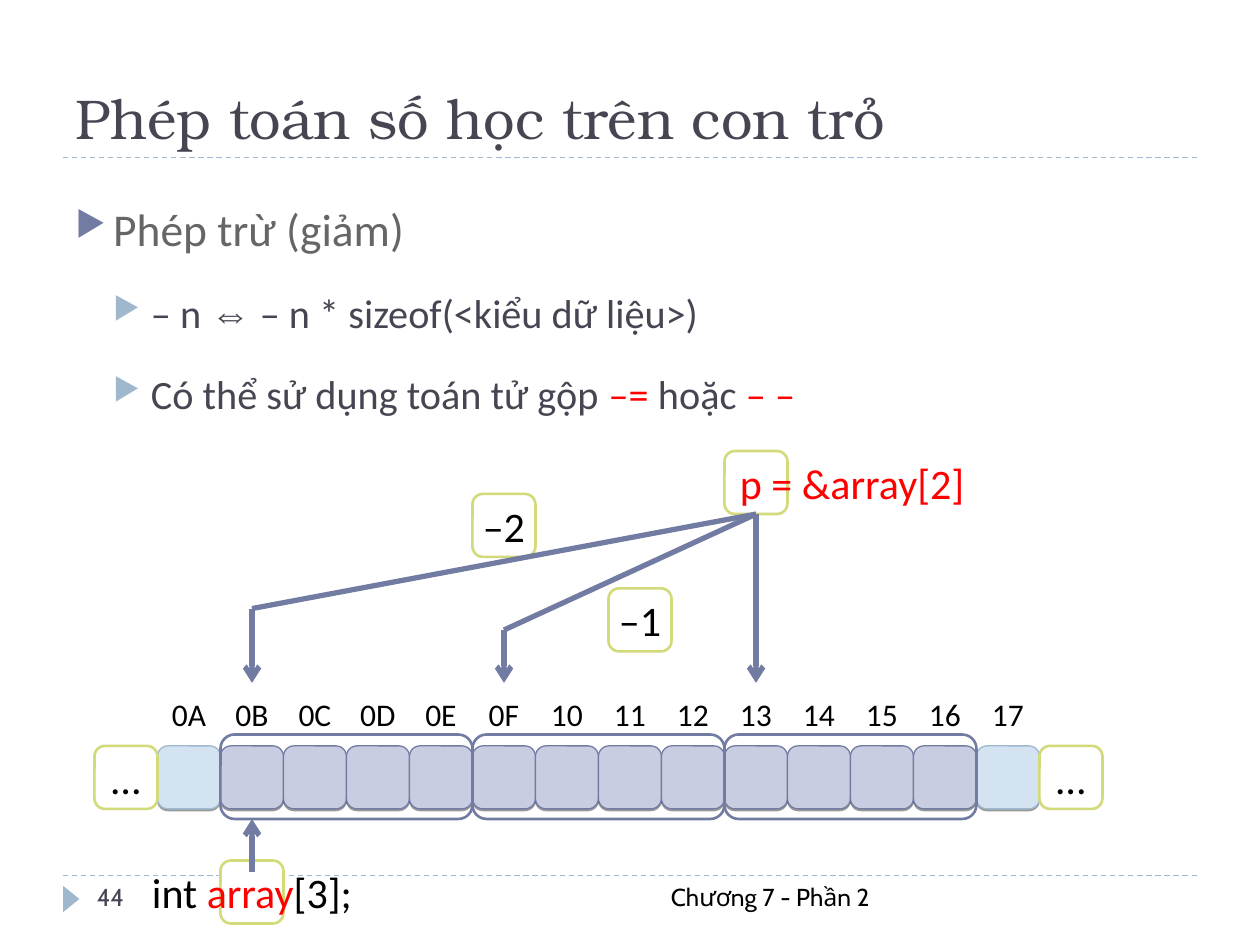
from pptx import Presentation
from pptx import util as u
from pptx.dml.color import RGBColor
from pptx.enum import dml, shapes, text
from pptx.oxml.ns import qn
from lxml import etree

INK, RED, BLACK, WHITE = "464653", "FF0000", "000000", "FFFFFF"
INDIGO, SKY, LIME = "727CA3", "9FB8CD", "D2DA7A"
UNIT = 0.5


def colour(value):
    return RGBColor.from_string(value)


def add_xml(parent, tag, **attributes):
    return etree.SubElement(parent, qn(tag), attributes)


def write(para, parts, size, align=text.PP_ALIGN.LEFT):
    para.alignment = align
    for wording, hue, font in parts:
        span = para.add_run()
        span.text = wording
        span.font.name = font
        span.font.size = u.Pt(size)
        span.font.color.rgb = colour(hue)


def add_text(page, box, parts, size, align):
    frame = page.shapes.add_textbox(*map(u.Inches, box)).text_frame
    frame.word_wrap = True
    write(frame.paragraphs[0], parts, size, align)


def add_line(page, start, end, hue=INDIGO, width=3, arrow=False):
    line = page.shapes.add_connector(
        shapes.MSO_CONNECTOR.STRAIGHT, *map(u.Inches, (*start, *end)))
    line.line.color.rgb = colour(hue)
    line.line.width = u.Pt(width)
    if arrow:
        add_xml(line.line._ln, "a:tailEnd", type="arrow")
    add_xml(line._element.spPr, "a:effectLst")
    return line


def add_rule(page, left, top, width):
    rule = add_line(page, (left, top), (left + width, top), SKY, 0.75)
    rule.line.dash_style = dml.MSO_LINE.DASH


def add_box(page, box, fill=None, edge=None, width=1.5, parts=(), size=24,
            align=text.PP_ALIGN.CENTER):
    shape = page.shapes.add_shape(
        shapes.MSO_SHAPE.ROUNDED_RECTANGLE, *map(u.Inches, box))
    shape.shadow.inherit = False
    if fill:
        shape.fill.solid()
        shape.fill.fore_color.rgb = colour(fill)
    else:
        shape.fill.background()
    if edge:
        shape.line.color.rgb = colour(edge)
        shape.line.width = u.Pt(width)
    else:
        shape.line.fill.background()
    if parts:
        frame = shape.text_frame
        frame.word_wrap = False
        frame.vertical_anchor = text.MSO_ANCHOR.MIDDLE
        write(frame.paragraphs[0], parts, size, align)
    return shape


def add_note(page, left, top, parts, align=text.PP_ALIGN.CENTER):
    spans = [(wording, hue, "Calibri") for wording, hue in parts]
    return add_box(page, (left, top, UNIT, UNIT), WHITE, LIME,
                   parts=spans, align=align)


def add_title(page, left, top, width, height):
    add_rule(page, left, top + height, width)
    title = page.shapes.title
    title.left, title.top, title.width, title.height = map(
        u.Inches, (left, top, width, height))
    frame = title.text_frame
    frame.auto_size = text.MSO_AUTO_SIZE.NONE
    frame.vertical_anchor = text.MSO_ANCHOR.BOTTOM
    write(frame.paragraphs[0],
          [("Phép toán số học trên con trỏ", INK, "TeX Gyre Bonum")], 32)


def add_bullets(page, left, top, width, height):
    items = [
        (0, [("Phép trừ (giảm)", "666666", "Calibri")]),
        (1, [("– n ", INK, "Calibri"), ("⇔", INK, "Arial"),
             (" – n * sizeof(<kiểu dữ liệu>)", INK, "Calibri")]),
        (1, [("Có thể sử dụng toán tử gộp ", INK, "Calibri"),
             ("–=", RED, "Calibri"), (" hoặc ", INK, "Calibri"),
             ("– –", RED, "Calibri")]),
    ]
    frame = page.shapes.add_textbox(
        *map(u.Inches, (left, top, width, height))).text_frame
    frame.word_wrap = True
    for index, (level, parts) in enumerate(items):
        para = frame.add_paragraph() if index else frame.paragraphs[0]
        para.level = level
        properties = para._p.get_or_add_pPr()
        properties.set("marL", str(u.Inches(0.3 * (level + 1))))
        properties.set("indent", str(u.Inches(-0.3)))
        bullet = add_xml(properties, "a:buClr")
        add_xml(bullet, "a:srgbClr", val=(INDIGO, SKY)[level])
        add_xml(properties, "a:buSzPct", val="76000")
        add_xml(properties, "a:buChar", char="▶")
        para.line_spacing = 1.5
        if index:
            para.space_before = u.Pt(5)
        write(para, parts, (26, 23)[level])


def add_cell(page, left, top, inside):
    fill, edge = ("C9CDE2", INDIGO) if inside else ("D3E3F2", SKY)
    cell = add_box(page, (left, top, UNIT, UNIT), fill, edge, 0.75)
    effects = cell._element.spPr.find(qn("a:effectLst"))
    shadow = add_xml(effects, "a:outerShdw", blurRad="0",
                     dist=str(u.Pt(1)), dir="5400000", rotWithShape="0")
    hue = add_xml(shadow, "a:srgbClr", val=BLACK)
    add_xml(hue, "a:alpha", val="40000")


def add_memory(page, left, top):
    addresses = range(0x0A, 0x18)
    labels = {}
    for index, address in enumerate(addresses):
        x = left + UNIT * (index + 1)
        add_cell(page, x, top, 0 < index < len(addresses) - 1)
        labels[address] = add_box(
            page, (x, top - UNIT, UNIT, UNIT),
            parts=[(f"{address:02X}", BLACK, "Calibri")], size=18)
    for x in (left, left + UNIT * (len(addresses) + 1)):
        add_note(page, x, top, [("…", BLACK)])
    for element in range(3):
        x = left + UNIT * (2 + 4 * element)
        add_box(page, (x, top - 0.09, 4 * UNIT, 0.67), edge=INDIGO)
    return labels


def add_pointers(page, left, top, labels):
    pointer = add_note(page, left + 4, top, [("p = &array[2]", RED)],
                       text.PP_ALIGN.LEFT)
    add_note(page, left + 2, top + 0.34, [("–2", BLACK)])
    add_note(page, left + 3.08, top + 1.09, [("–1", BLACK)])
    start = (left + 4.25, top + UNIT)
    for address, x, bend in ((0x13, 4.25, None), (0x0F, 2.25, 1.42),
                             (0x0B, 0.25, 1.25)):
        corner = start
        if bend:
            corner = (left + x, top + bend)
            add_line(page, start, corner).begin_connect(pointer, 2)
        arrow = add_line(page, corner, (left + x, top + 1.84), arrow=True)
        if not bend:
            arrow.begin_connect(pointer, 2)
        arrow.end_connect(labels[address], 0)


def add_declaration(page, left, top):
    add_note(page, left, top,
             [("int ", BLACK), ("array", RED), ("[3];", BLACK)])
    x = left + UNIT / 2
    add_line(page, (x, top + 0.09), (x, top - 0.33), arrow=True)


def add_footer(page, left, top, width):
    add_rule(page, left, top, width)
    marker = page.shapes.add_shape(
        shapes.MSO_SHAPE.ISOSCELES_TRIANGLE,
        *map(u.Inches, (left - 0.04, top + 0.12, 0.21, 0.13)))
    marker.rotation = 90
    marker.shadow.inherit = False
    marker.fill.solid()
    marker.fill.fore_color.rgb = colour(SKY)
    marker.line.fill.background()
    add_text(page, (left + 2.67, top, 3.83, 0.4),
             [("Chương 7 - Phần 2", BLACK, "Cabin")], 14, text.PP_ALIGN.RIGHT)
    add_text(page, (left + 0.17, top, 2.17, 0.4),
             [("44", INK, "Cabin")], 14, text.PP_ALIGN.LEFT)


def main():
    deck = Presentation()
    deck.slide_width, deck.slide_height = u.Inches(10), u.Inches(7.5)
    page = deck.slides.add_slide(deck.slide_layouts[5])
    add_title(page, 0.5, 0.17, 9, 1.08)
    add_bullets(page, 0.5, 1.33, 9, 5.4)
    add_footer(page, 0.5, 6.95, 9)
    labels = add_memory(page, 0.75, 5.92)
    add_pointers(page, 1.75, 3.58, labels)
    add_declaration(page, 1.75, 6.83)
    deck.save("out.pptx")


if __name__ == "__main__":
    main()
